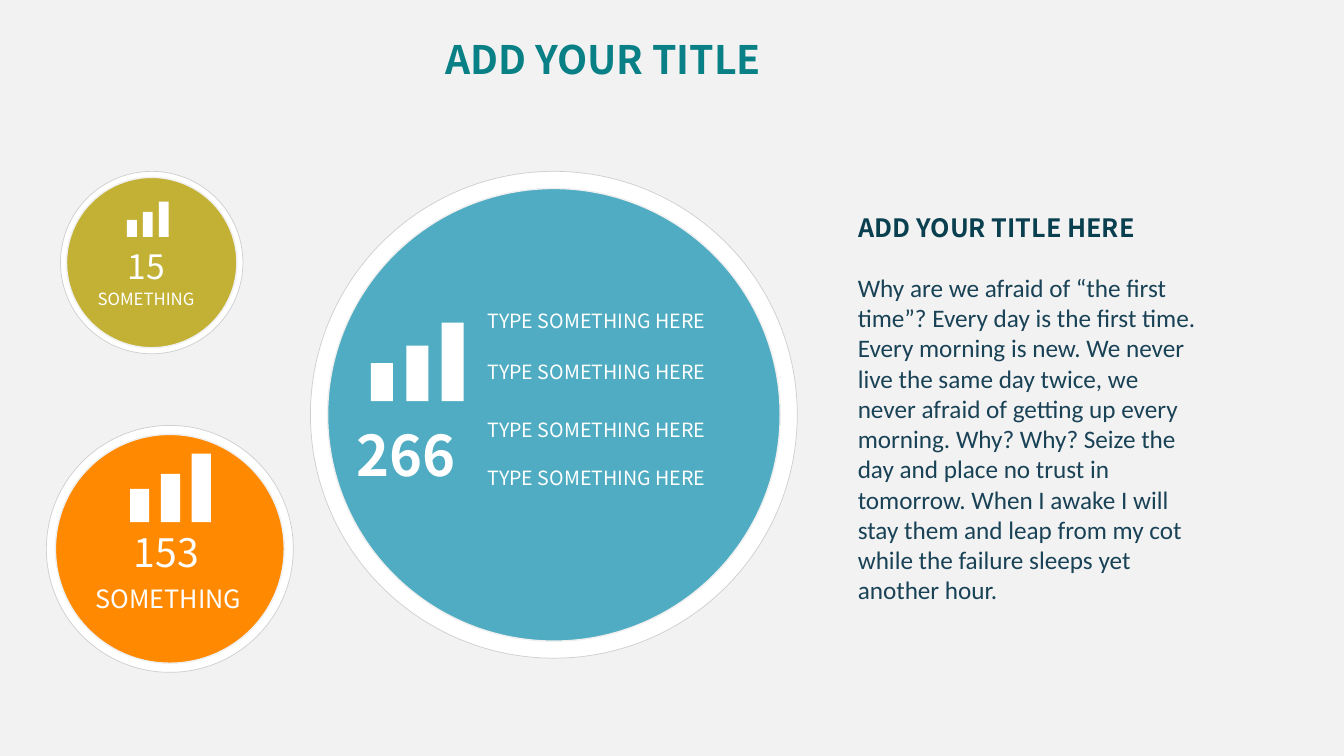
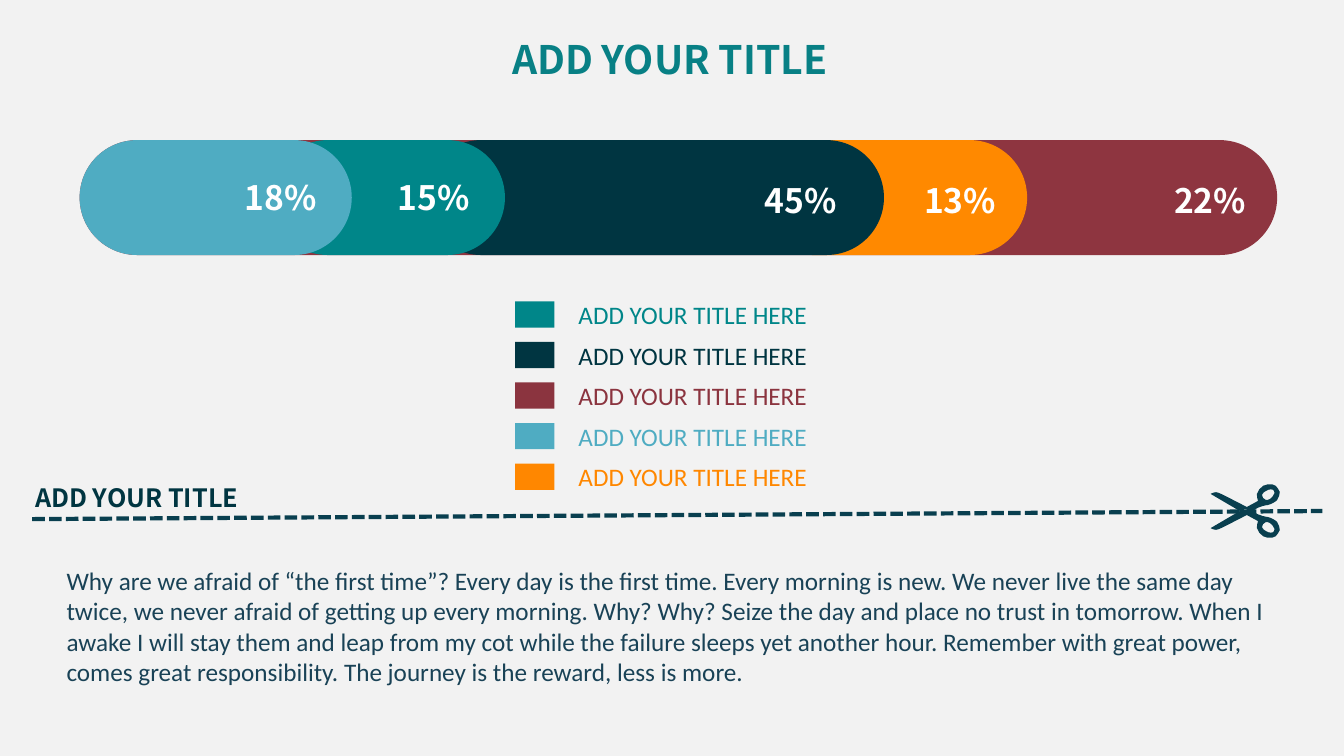
from lxml.etree import SubElement
from pptx import Presentation
from pptx.dml.color import RGBColor
from pptx.enum.dml import MSO_LINE
from pptx.enum.shapes import MSO_CONNECTOR, MSO_SHAPE
from pptx.enum.text import MSO_ANCHOR, MSO_AUTO_SIZE, PP_ALIGN
from pptx.oxml.ns import qn
from pptx.util import Pt

# Shared style: 100 px to the inch
PX = 9144
SLIDE_SIZE = (1333.33, 750)
HEAD_FONT = "Noto Sans CJK SC"
BODY_FONT = "Calibri"
COLORS = {
    "page": "F2F2F2", "white": "FFFFFF", "ring": "D0CECE", "rim": "EFEFEF",
    "title": "088085", "heading": "093F4F", "prose": "194256",
    "olive": "C3B136", "orange": "FF8900", "blue": "4FACC2",
    "navy": "003541", "teal": "008689", "wine": "8E3540",
    "legend wine": "8B343F", "legend orange": "FF8700",
}

# Content
TITLE = "ADD YOUR TITLE"
CAPTION = "ADD YOUR TITLE HERE"
PROSE = (
    "Why are we afraid of “the first time”? Every day is the first time. "
    "Every morning is new. We never live the same day twice, we never afraid "
    "of getting up every morning. Why? Why? Seize the day and place no trust "
    "in tomorrow. When I awake I will stay them and leap from my cot while "
    "the failure sleeps yet another hour."
)
PROSE_END = (
    " Remember with great power, comes great responsibility. "
    "The journey is the reward, less is more."
)

# Circle: left, top, diameter; bars: left, base, tallest;
# labels: text, left, top, width, height, size, bold
ITEM = "TYPE SOMETHING HERE"
BADGES = [
    {"color": "olive", "circle": (60, 170, 181), "bars": (126, 235, 35),
     "labels": [("15", 117, 239, 60, 50, 24, False),
                ("SOMETHING", 87, 282, 123, 30, 12, False)]},
    {"color": "orange", "circle": (46, 422, 245), "bars": (129, 518, 68),
     "labels": [("153", 123, 519, 89, 57, 28, False),
                ("SOMETHING", 85, 574, 175, 40, 18, False)]},
    {"color": "blue", "circle": (308, 170, 483), "bars": (368, 398, 78),
     "labels": [("266", 344, 412, 142, 89, 40, True)]
     + [(ITEM, 474, top, 284, 39, 14, False) for top in (302, 352, 410, 457)]},
]
BAR_HEIGHTS = (0.485, 0.705, 1)

# Back to front: color, left, width, label, label left, label top
SEGMENTS = [
    ("wine", 79, 1188, "22%", 1155, 174),
    ("orange", 749, 270, "13%", 907, 174),
    ("navy", 420, 457, "45%", 749, 174),
    ("teal", 268, 233, "15%", 385, 171),
    ("blue", 79, 270, "18%", 233, 171),
]
LEGEND = ["teal", "navy", "legend wine", "blue", "legend orange"]

# Scissors: a start point, then two handles and an end point for each curve
SCISSORS_AXIS = 507
UPPER_BLADE = [
    (1243, 507),
    (1245, 505), (1250, 502), (1258, 501),
    (1260, 500), (1262, 500), (1263, 499),
    (1267, 497), (1268, 495), (1269, 492),
    (1270, 489), (1270, 487), (1268, 485),
    (1266, 480), (1259, 479), (1253, 482),
    (1250, 484), (1248, 487), (1247, 490),
    (1247, 492), (1247, 494), (1248, 497),
    (1248, 497), (1237, 503), (1237, 503),
    (1229, 499), (1212, 490), (1209, 489),
    (1206, 487), (1201, 490), (1201, 490),
    (1201, 490), (1230, 507), (1230, 507),
]
UPPER_HANDLE = [
    (1264, 487),
    (1265, 489), (1264, 490), (1264, 490),
    (1263, 492), (1262, 494), (1260, 495),
    (1257, 497), (1254, 496), (1253, 494),
    (1252, 493), (1252, 492), (1252, 491),
    (1253, 489), (1254, 488), (1256, 487),
    (1259, 485), (1263, 485), (1264, 487),
]
RIVET = [
    (1237, 507),
    (1237, 508), (1237, 509), (1235, 509),
    (1234, 509), (1234, 508), (1234, 507),
    (1234, 505), (1234, 505), (1235, 505),
    (1237, 505), (1237, 505), (1237, 507),
]


def emu(*lengths):
    return [round(length * PX) for length in lengths]


def rgb(name):
    return RGBColor.from_string(COLORS[name])


def format_text(box, text, size=18, color="white", font=HEAD_FONT, bold=False,
                wrap=False):
    frame = box.text_frame
    frame.text = text
    frame.word_wrap = wrap
    frame.auto_size = MSO_AUTO_SIZE.NONE if wrap else MSO_AUTO_SIZE.SHAPE_TO_FIT_TEXT
    frame.vertical_anchor = MSO_ANCHOR.TOP
    para = frame.paragraphs[0]
    para.alignment = PP_ALIGN.LEFT
    para.space_before = Pt(0)
    span = para.runs[0].font
    span.name, span.size, span.bold = font, Pt(size), bold
    span.color.rgb = rgb(color)


def add_label(shapes, text, place, **style):
    format_text(shapes.add_textbox(*emu(*place)), text, **style)


def paint(shape, color):
    shape.shadow.inherit = False
    shape.fill.solid()
    shape.fill.fore_color.rgb = rgb(color)
    shape.line.fill.background()


def add_block(shapes, kind, place, color, line=None, line_width=0):
    block = shapes.add_shape(kind, *emu(*place))
    paint(block, color)
    if line:
        block.line.color.rgb = rgb(line)
        block.line.width = Pt(line_width)
    return block


def move(shape, place):
    shape.left, shape.top, shape.width, shape.height = emu(*place)


def add_page(deck, title_left, prose, prose_place):
    page = deck.slides.add_slide(deck.slide_layouts[1])
    title, body = page.placeholders
    move(title, (title_left, 30, 356, 57))
    format_text(title, TITLE, size=28, color="title", bold=True)
    move(body, prose_place)
    format_text(body, prose, color="prose", font=BODY_FONT, wrap=True)
    properties = body.text_frame.paragraphs[0]._p.get_or_add_pPr()
    properties.set("marL", "0")
    properties.set("indent", "0")
    SubElement(properties, qn("a:buNone"))
    return page


def add_badge(page, badge):
    shapes = page.shapes.add_group_shape().shapes
    left, top, diameter = badge["circle"]
    inset = round(diameter * 0.0352)
    inner = diameter - 2 * inset
    add_block(shapes, MSO_SHAPE.OVAL, (left, top, diameter, diameter),
              "white", "ring", 0.5)
    add_block(shapes, MSO_SHAPE.OVAL, (left + inset, top + inset, inner, inner),
              badge["color"], "rim", 1)
    left, base, tallest = badge["bars"]
    for index, share in enumerate(BAR_HEIGHTS):
        height = tallest * share
        add_block(shapes, MSO_SHAPE.RECTANGLE,
                  (left + index * tallest * 0.45, base - height,
                   tallest * 0.28, height), "white")
    for text, *place, size, bold in badge["labels"]:
        add_label(shapes, text, place, size=size, bold=bold)


def add_segment_bar(page):
    shapes = page.shapes.add_group_shape().shapes
    for color, left, width, *_ in SEGMENTS:
        pill = add_block(shapes, MSO_SHAPE.ROUNDED_RECTANGLE,
                         (left, 139, width, 114), color)
        pill.adjustments[0] = 0.5
    for *_, text, left, top in reversed(SEGMENTS):
        add_label(shapes, text, (left, top, 93, 50), size=24, bold=True)


def add_legend(page):
    shapes = page.shapes.add_group_shape().shapes
    for index, color in enumerate(LEGEND):
        top = 299 + index * 40.25
        add_block(shapes, MSO_SHAPE.RECTANGLE, (511, top, 39, 26), color)
        add_label(shapes, CAPTION, (564, top - 7, 252, 40), color=color,
                  font=BODY_FONT, wrap=True)


def add_cut_line(page):
    line = page.shapes.add_connector(MSO_CONNECTOR.STRAIGHT,
                                     *emu(32, 515, 1312, 507))
    line.line.color.rgb = rgb("heading")
    line.line.width = Pt(3)
    line.line.dash_style = MSO_LINE.SQUARE_DOT
    SubElement(line._element.spPr, qn("a:effectLst"))


def mirror(points):
    return [(x, 2 * SCISSORS_AXIS - y) for x, y in reversed(points)]


def bend(shape):
    """Turn every three straight steps into one cubic curve."""
    steps = list(shape._element.iter(qn("a:lnTo")))
    for first, second, end in zip(steps[::3], steps[1::3], steps[2::3]):
        first.tag = qn("a:cubicBezTo")
        for step in (second, end):
            first.append(step[0])
            step.getparent().remove(step)


def add_scissors(page):
    outline = UPPER_BLADE + mirror(UPPER_BLADE)[1:]
    builder = page.shapes.build_freeform(*emu(*outline[0]))
    builder.add_line_segments([emu(*point) for point in outline[1:]])
    for hole in (UPPER_HANDLE, mirror(UPPER_HANDLE), RIVET):
        builder.move_to(*emu(*hole[0]))
        builder.add_line_segments([emu(*point) for point in hole[1:]])
    scissors = builder.convert_to_shape()
    bend(scissors)
    paint(scissors, "heading")


def main():
    deck = Presentation()
    deck.slide_width, deck.slide_height = emu(*SLIDE_SIZE)
    backdrop = deck.slide_master.background.fill
    backdrop.solid()
    backdrop.fore_color.rgb = rgb("page")

    # Circles with figures
    page = add_page(deck, 432, PROSE, (841, 265, 358, 343))
    for badge in BADGES:
        add_badge(page, badge)
    add_label(page.shapes, CAPTION, (842, 206, 311, 40), color="heading", bold=True)

    # Segmented bar with legend
    page = add_page(deck, 498, PROSE + PROSE_END, (56, 556, 1236, 131))
    add_segment_bar(page)
    add_cut_line(page)
    add_scissors(page)
    add_label(page.shapes, TITLE, (25, 474, 236, 40), color="navy", bold=True)
    add_legend(page)

    deck.save("out.pptx")


if __name__ == "__main__":
    main()
